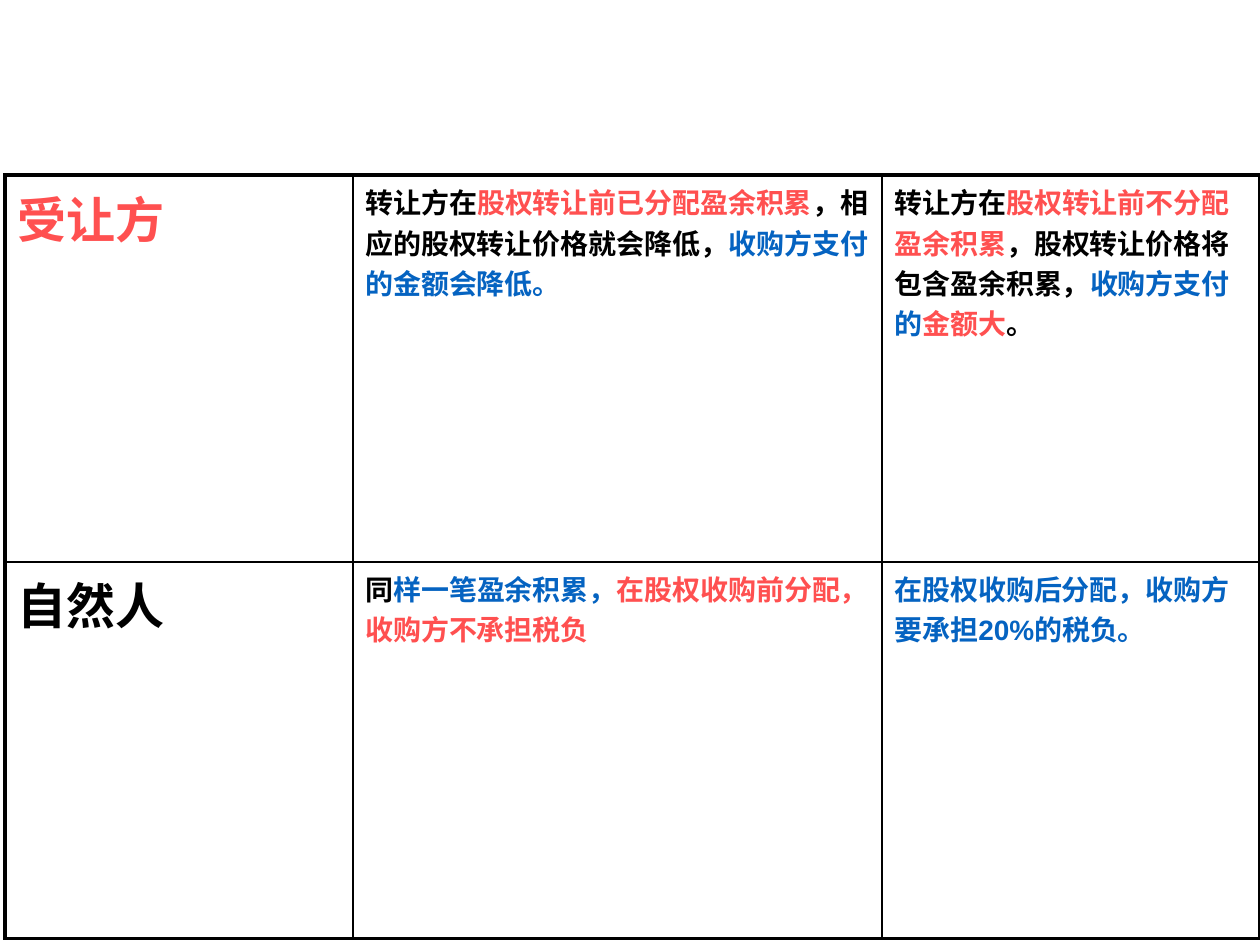
from lxml import etree
from pptx import Presentation
from pptx import util as u
from pptx.dml.color import RGBColor
from pptx.oxml.ns import qn

BLACK, RED, BLUE = "000000", "FF5050", "0563C1"
THIN, THICK = 1, 2.25
LABEL_SIZE, BODY_SIZE = 28, 16
COLUMNS = [2.76, 4.2, 3]
ROWS = [3.07, 2.99]

# Each cell is a list of (text, colour) runs.
CELLS = [
    [
        [("受让方", RED)],
        [("转让方在", BLACK), ("股权转让前已分配盈余积累", RED),
         ("，相应的股权转让价格就会降低，", BLACK),
         ("收购方支付的金额会降低。", BLUE)],
        [("转让方在", BLACK), ("股权转让前不分配盈余积累", RED),
         ("，股权转让价格将包含盈余积累，", BLACK),
         ("收购方支付的", BLUE), ("金额大", RED), ("。", BLACK)],
    ],
    [
        [("自然人", BLACK)],
        [("同", BLACK), ("样一笔盈余积累，", BLUE),
         ("在股权收购前分配，收购方不承担税负", RED)],
        [("在股权收购后分配，收购方要承担20%的税负。", BLUE)],
    ],
]


def color(value):
    return RGBColor.from_string(value)


def write_runs(cell, runs, size, font):
    p = cell.text_frame.paragraphs[0]
    p.space_after = u.Pt(size * 0.4)
    for words, value in runs:
        r = p.add_run()
        r.text = words
        r.font.size = u.Pt(size)
        r.font.name = font
        r.font.bold = True
        r.font.color.rgb = color(value)


def set_borders(cell, widths):
    """Draw black borders; widths are points in the order left, right, top, bottom."""
    tc_pr = cell._tc.get_or_add_tcPr()
    for i, (side, width) in enumerate(zip("LRTB", widths)):
        ln = etree.Element(qn(f"a:ln{side}"), w=str(u.Pt(width)))
        fill = etree.SubElement(ln, qn("a:solidFill"))
        etree.SubElement(fill, qn("a:srgbClr"), val=BLACK)
        tc_pr.insert(i, ln)


def add_comparison_table(s):
    n_rows, n_cols = len(ROWS), len(COLUMNS)
    table = s.shapes.add_table(
        n_rows, n_cols, u.Inches(0.04), u.Inches(1.39),
        u.Inches(sum(COLUMNS)), u.Inches(sum(ROWS))).table
    table.first_row = table.horz_banding = False
    for column, width in zip(table.columns, COLUMNS):
        column.width = u.Inches(width)
    for row, height in zip(table.rows, ROWS):
        row.height = u.Inches(height)

    for i, row in enumerate(CELLS):
        for j, runs in enumerate(row):
            cell = table.cell(i, j)
            cell.fill.background()
            size = LABEL_SIZE if j == 0 else BODY_SIZE
            font = "Montserrat" if (i, j) == (1, 0) else "Arial"
            write_runs(cell, runs, size, font)
            outer = (j == 0, j == n_cols - 1, i == 0, i == n_rows - 1)
            set_borders(cell, [THICK if edge else THIN for edge in outer])


def main():
    prs = Presentation()
    prs.slide_width, prs.slide_height = u.Inches(10), u.Inches(7.5)
    s = prs.slides.add_slide(prs.slide_layouts[6])
    add_comparison_table(s)
    prs.save("out.pptx")


if __name__ == "__main__":
    main()
